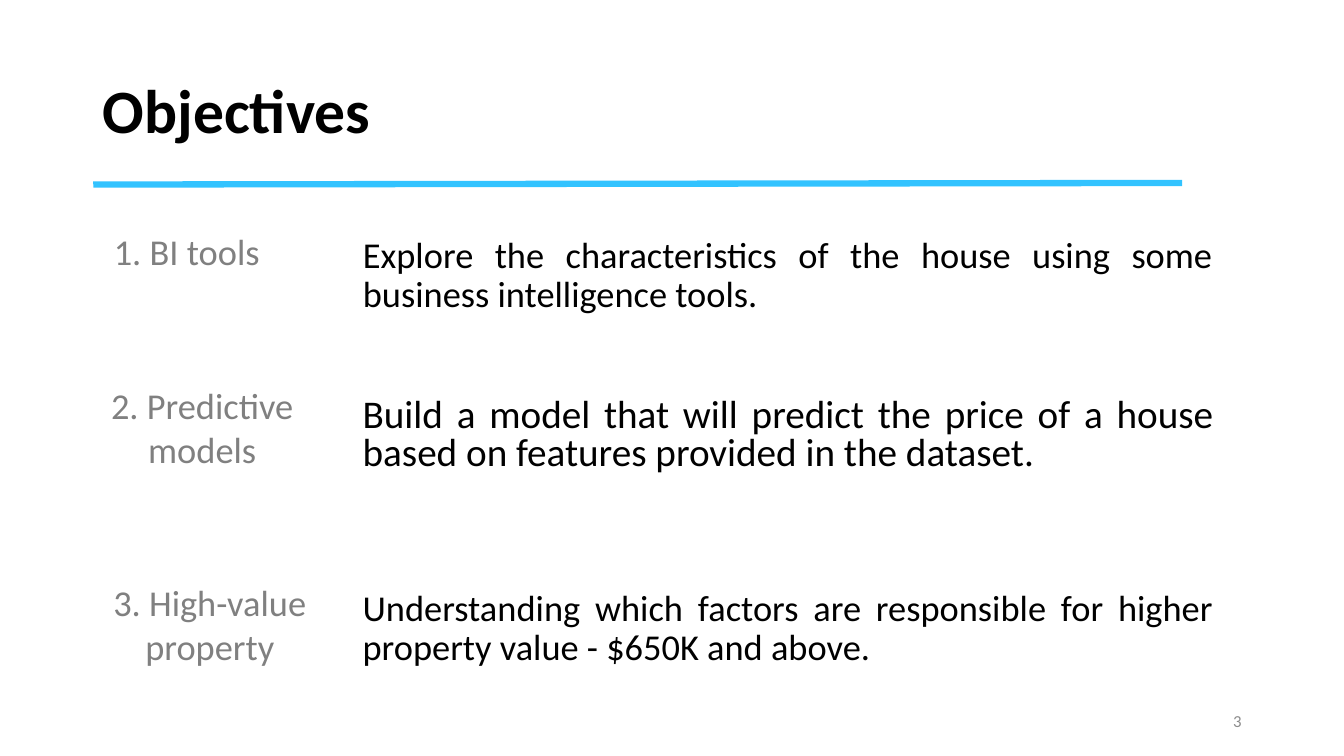
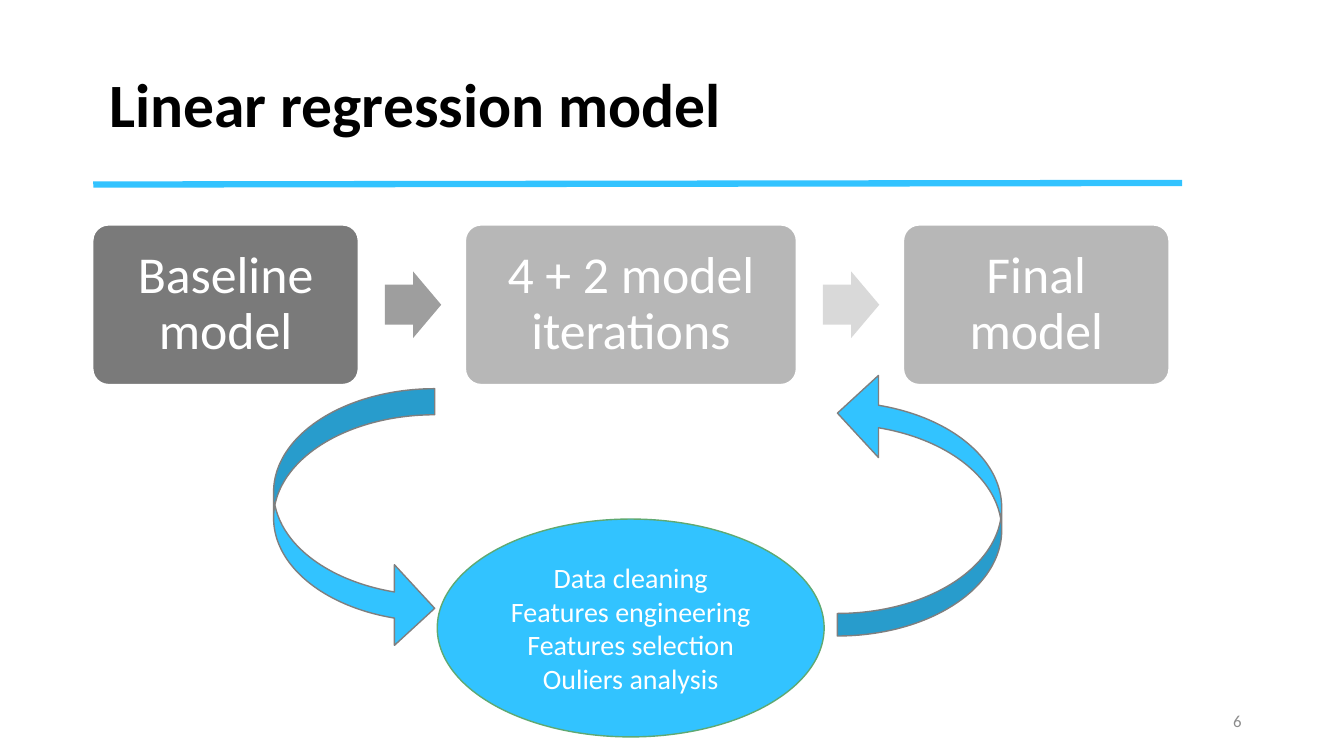
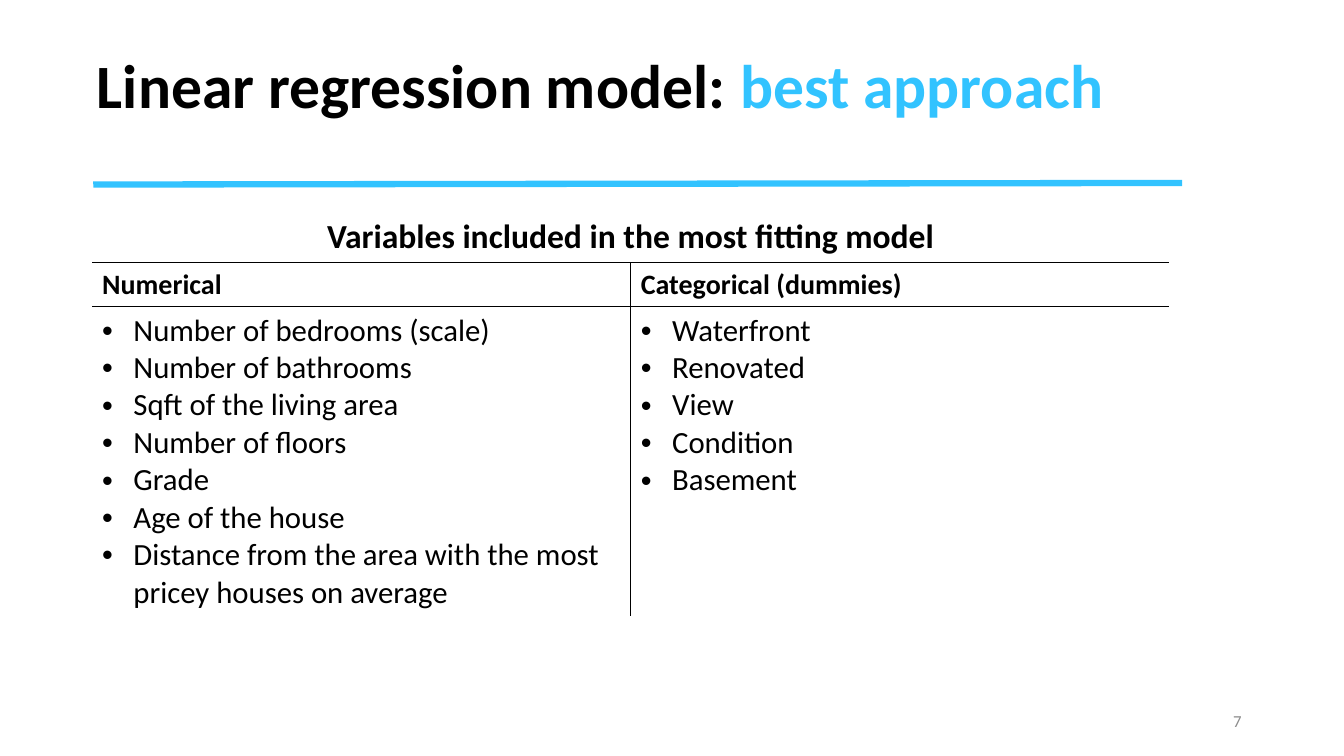
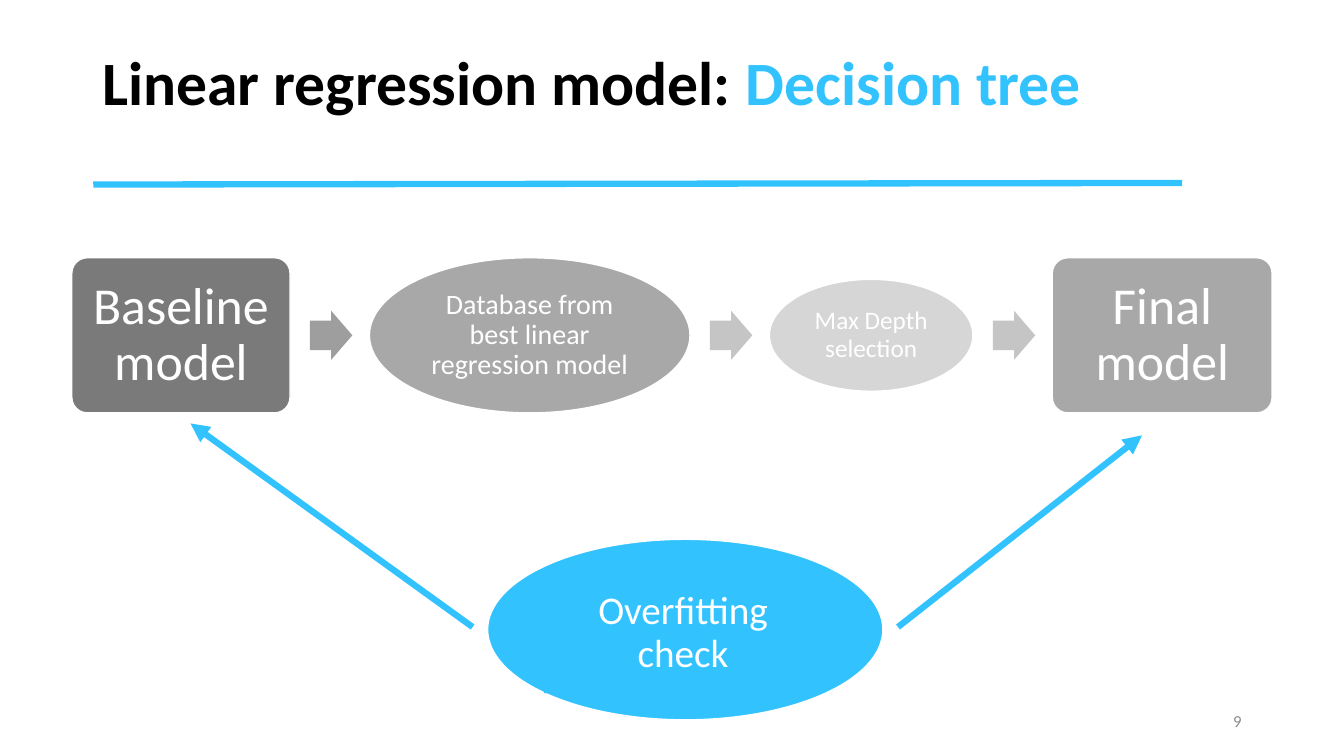
from lxml.etree import SubElement
from pptx import Presentation
from pptx.dml.color import RGBColor
from pptx.enum.shapes import MSO_CONNECTOR, MSO_SHAPE
from pptx.enum.text import MSO_ANCHOR, MSO_AUTO_SIZE, PP_ALIGN
from pptx.oxml.ns import qn
from pptx.util import Cm, Pt

FONT = "Calibri"
COLORS = {
    "text": "000000", "accent": "32C3FF", "white": "FFFFFF", "label": "808080",
    "page": "8C8C8C", "outline": "7F7F7F", "green": "5FA972", "dark": "7A7A7A",
    "arrow_dark": "9E9E9E", "mid": "B7B7B7", "arrow_light": "D9D9D9",
    "gray": "A8A8A8", "arrow_gray": "C5C5C5", "pale": "D6D6D6",
}
TITLE_ONLY, TITLE_BODY = 5, 1

OBJECTIVES = [
    ("1. BI tools", 1.79, 5.66, 1.37,
     "Explore the characteristics of the house using some business intelligence tools.",
     5.84, 26, 0.9),
    ("2. Predictive models", 2.18, 9.53, 2.49,
     "Build a model that will predict the price of a house based on features provided in the dataset.",
     9.92, 28, 0.8),
    ("3. High-value property", 2.37, 14.5, 2.49,
     "Understanding which factors are responsible for higher property value - $650K and above.",
     14.75, 26, 0.9),
]

BOX, OVAL = MSO_SHAPE.ROUNDED_RECTANGLE, MSO_SHAPE.OVAL
REGRESSION = {
    "left": 2.33, "middle": 7.68, "before": 0.66, "after": 0.6, "arrow": (1.42, 1.68),
    "line": 1.5, "arrows": ["arrow_dark", "arrow_light"],
    "steps": [
        ("Baseline model", BOX, 6.71, 4.04, "dark", 37, 0.37),
        ("4 + 2 model iterations", BOX, 8.36, 4.04, "mid", 37, 0.37),
        ("Final model", BOX, 6.71, 4.04, "mid", 37, 0.37),
    ],
}
TREE = {
    "left": 1.81, "middle": 8.45, "before": 0.5, "after": 0.43, "arrow": (1.07, 1.24),
    "line": 1, "arrows": ["arrow_dark", "arrow_gray", "arrow_gray"],
    "steps": [
        ("Baseline model", BOX, 5.5, 3.91, "dark", 37, 0.35),
        ("Database from best linear regression model", OVAL, 8.08, 3.91, "gray", 20, 0.2),
        ("Max Depth selection", OVAL, 5.13, 2.82, "pale", 18, 0.18),
        ("Final model", BOX, 5.54, 3.91, "gray", 37, 0.37),
    ],
}
ITERATION = ["Data cleaning", "Features engineering", "Features selection", "Ouliers analysis"]
CURVED_ARROWS = [
    (19.85, 10.63, 6.65, 4.14, 270, 0.137),
    (5.65, 11.04, 6.55, 4.06, 90, 0.162),
]
CHECK_ARROWS = [(11.91, 15.8, 4.8, 10.67), (22.63, 15.8, 28.78, 10.97)]

VARIABLES_TITLE = "Variables included in the most fitting model"
VARIABLES = [
    ("Numerical", [
        "Number of bedrooms (scale)", "Number of bathrooms", "Sqft of the living area",
        "Number of floors", "Grade", "Age of the house",
        "Distance from the area with the most pricey houses on average"]),
    ("Categorical (dummies)", ["Waterfront", "Renovated", "View", "Condition", "Basement"]),
]
ROW_HEIGHTS = [1.29, 1.11, 7.8]


def rgb(name):
    return RGBColor.from_string(COLORS[name])


def frame(*lengths):
    return [Cm(v) for v in lengths]


def write(tf, paragraphs, size, color="text", bold=False, align=PP_ALIGN.LEFT,
          spacing=1.0, before=0):
    for i, runs in enumerate(paragraphs):
        p = tf.paragraphs[0] if i == 0 else tf.add_paragraph()
        p.alignment, p.line_spacing, p.space_before = align, spacing, Pt(before)
        for text, run_color in [(runs, color)] if isinstance(runs, str) else runs:
            r = p.add_run()
            r.text = text
            r.font.name, r.font.size, r.font.bold = FONT, Pt(size), bold
            r.font.color.rgb = rgb(run_color)


def place(sp, left, top, width, height):
    sp.left, sp.top, sp.width, sp.height = frame(left, top, width, height)
    sp.text_frame.auto_size = MSO_AUTO_SIZE.NONE
    return sp.text_frame


def set_bullet(p, char=None, indent=0.0):
    pPr = p._p.get_or_add_pPr()
    pPr.set("marL", str(Cm(indent)))
    pPr.set("indent", str(-Cm(indent)))
    if char:
        SubElement(pPr, qn("a:buFont"), typeface="Arial")
        SubElement(pPr, qn("a:buChar"), char=char)
    else:
        SubElement(pPr, qn("a:buNone"))


def add_text(s, box, paragraphs, size, anchor=MSO_ANCHOR.TOP, **style):
    tf = s.shapes.add_textbox(*frame(*box)).text_frame
    tf.word_wrap, tf.vertical_anchor = True, anchor
    write(tf, paragraphs, size, **style)


def add_line(s, ends, arrow=False):
    line = s.shapes.add_connector(MSO_CONNECTOR.STRAIGHT, *frame(*ends))
    line.line.color.rgb, line.line.width = rgb("accent"), Pt(4.5)
    if arrow:
        SubElement(line.line._get_or_add_ln(), qn("a:tailEnd"), type="triangle")
    SubElement(line._element.spPr, qn("a:effectLst"))


def add_shape(s, kind, box, fill=None, line=None, width=1, adjust=()):
    sp = s.shapes.add_shape(kind, *frame(*box))
    sp.shadow.inherit = False
    if fill:
        sp.fill.solid()
        sp.fill.fore_color.rgb = rgb(fill)
    else:
        sp.fill.background()
    if line:
        sp.line.color.rgb, sp.line.width = rgb(line), Pt(width)
    else:
        sp.line.fill.background()
    for i, value in enumerate(adjust):
        sp.adjustments[i] = value
    return sp


def label_shape(sp, paragraphs, size, inset, spacing=0.9):
    tf = sp.text_frame
    tf.word_wrap, tf.vertical_anchor = True, MSO_ANCHOR.MIDDLE
    tf.margin_left = tf.margin_right = tf.margin_top = tf.margin_bottom = Cm(inset)
    write(tf, paragraphs, size, "white", align=PP_ALIGN.CENTER, spacing=spacing)


def add_flow(s, flow):
    x, middle = flow["left"], flow["middle"]
    arrow_w, arrow_h = flow["arrow"]
    for i, (text, kind, w, h, fill, size, inset) in enumerate(flow["steps"]):
        sp = add_shape(s, kind, (x, middle - h / 2, w, h), fill, "white", flow["line"],
                       [0.1] if kind == BOX else [])
        label_shape(sp, [text], size, inset)
        x += w + flow["before"]
        if i < len(flow["arrows"]):
            add_shape(s, MSO_SHAPE.RIGHT_ARROW, (x, middle - arrow_h / 2, arrow_w, arrow_h),
                      flow["arrows"][i], adjust=[0.6, 0.5])
            x += arrow_w + flow["after"]


def set_borders(cell, sides):
    tcPr = cell._tc.get_or_add_tcPr()
    for side in "LRTB":
        ln = SubElement(tcPr, qn(f"a:ln{side}"), w=str(Pt(1)))
        if side in sides:
            fill = SubElement(ln, qn("a:solidFill"))
            SubElement(fill, qn("a:srgbClr"), val=COLORS["text"])
        else:
            SubElement(ln, qn("a:noFill"))
    cell.fill.background()


def add_slide(prs, layout, title, left, top, height, page):
    s = prs.slides.add_slide(prs.slide_layouts[layout])
    tf = place(s.shapes.title, left, top, 27.15, height)
    tf.vertical_anchor = MSO_ANCHOR.MIDDLE
    write(tf, [title], 44, bold=True, spacing=0.9)
    add_text(s, (23.92, 17.65, 7.62, 1.02), [page], 12, MSO_ANCHOR.MIDDLE,
             color="page", align=PP_ALIGN.RIGHT)
    add_line(s, (2.35, 4.65, 29.79, 4.61))
    return s


def add_objectives(prs):
    s = add_slide(prs, TITLE_BODY, "Objectives", 2.34, 1.02, 3.68, "3")
    for i, (label, left, label_top, height, text, top, size, spacing) in enumerate(OBJECTIVES):
        sp = add_shape(s, MSO_SHAPE.RECTANGLE, (left, label_top, 5.84, height),
                       line="white", width=0.75)
        tf = sp.text_frame
        tf.word_wrap, tf.vertical_anchor = True, MSO_ANCHOR.TOP
        write(tf, [label], 26, "label", align=PP_ALIGN.CENTER)
        box = (8.89, top, 21.95, 2.34)
        style = {"align": PP_ALIGN.JUSTIFY, "spacing": spacing, "before": 10}
        if i == 0:
            tf = place(s.placeholders[1], *box)
            write(tf, [text], size, **style)
            set_bullet(tf.paragraphs[0])
        else:
            add_text(s, box, [text], size, **style)


def add_regression(prs):
    s = add_slide(prs, TITLE_ONLY, "Linear regression model", 2.5, 0.86, 3.68, "6")
    add_flow(s, REGRESSION)
    sp = add_shape(s, OVAL, (11.02, 13.08, 9.75, 5.49), "accent", "green")
    label_shape(sp, ITERATION, 20, 0.2, 1.0)
    for left, top, w, h, rotation, thickness in CURVED_ARROWS:
        sp = add_shape(s, MSO_SHAPE.CURVED_UP_ARROW, (left, top, w, h), "accent", "outline",
                       adjust=[thickness, 0.5, 0.25])
        sp.rotation = rotation


def add_variables(prs):
    title = [("Linear regression model: ", "text"), ("best approach", "accent")]
    s = add_slide(prs, TITLE_ONLY, title, 2.19, 0.64, 3.18, "7")
    table = s.shapes.add_table(3, 2, *frame(2.32, 5.33, 27.15, sum(ROW_HEIGHTS))).table
    table.first_row = table.horz_banding = False
    for row, height in zip(table.rows, ROW_HEIGHTS):
        row.height = Cm(height)
    heading = table.cell(0, 0)
    heading.merge(table.cell(0, 1))
    write(heading.text_frame, [VARIABLES_TITLE], 24, bold=True, align=PP_ALIGN.CENTER)
    for col, (name, items) in enumerate(VARIABLES):
        inner = "RL"[col]
        head, body = table.cell(1, col), table.cell(2, col)
        set_borders(table.cell(0, col), "B")
        set_borders(head, "TB" + inner)
        set_borders(body, "T" + inner)
        write(head.text_frame, [name], 20, bold=True)
        write(body.text_frame, items, 22)
        for p in body.text_frame.paragraphs:
            set_bullet(p, "•", 0.79)


def add_tree(prs):
    title = [("Linear regression model: ", "text"), ("Decision tree", "accent")]
    s = add_slide(prs, TITLE_ONLY, title, 2.33, 0.31, 3.68, "9")
    add_flow(s, TREE)
    add_shape(s, OVAL, (12.29, 13.59, 9.96, 4.55), "accent", "white")
    sp = add_shape(s, MSO_SHAPE.RECTANGLE, (13.71, 14.45, 7.01, 3.02), "accent")
    label_shape(sp, ["Overfitting check"], 28, 0.18)
    for ends in CHECK_ARROWS:
        add_line(s, ends, arrow=True)


def main():
    prs = Presentation()
    prs.slide_width, prs.slide_height = frame(33.87, 19.05)
    for build in (add_objectives, add_regression, add_variables, add_tree):
        build(prs)
    prs.save("out.pptx")


if __name__ == "__main__":
    main()
